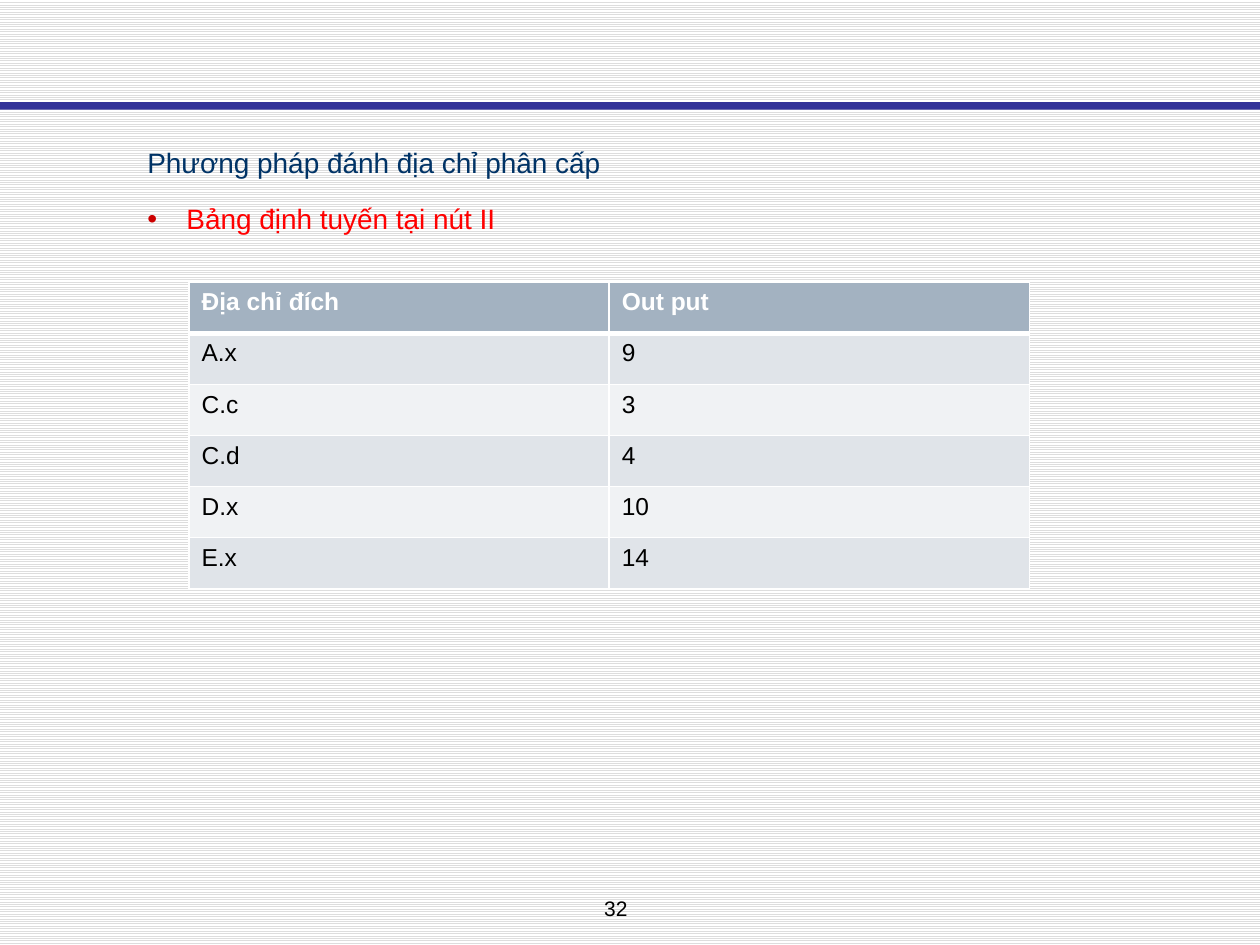
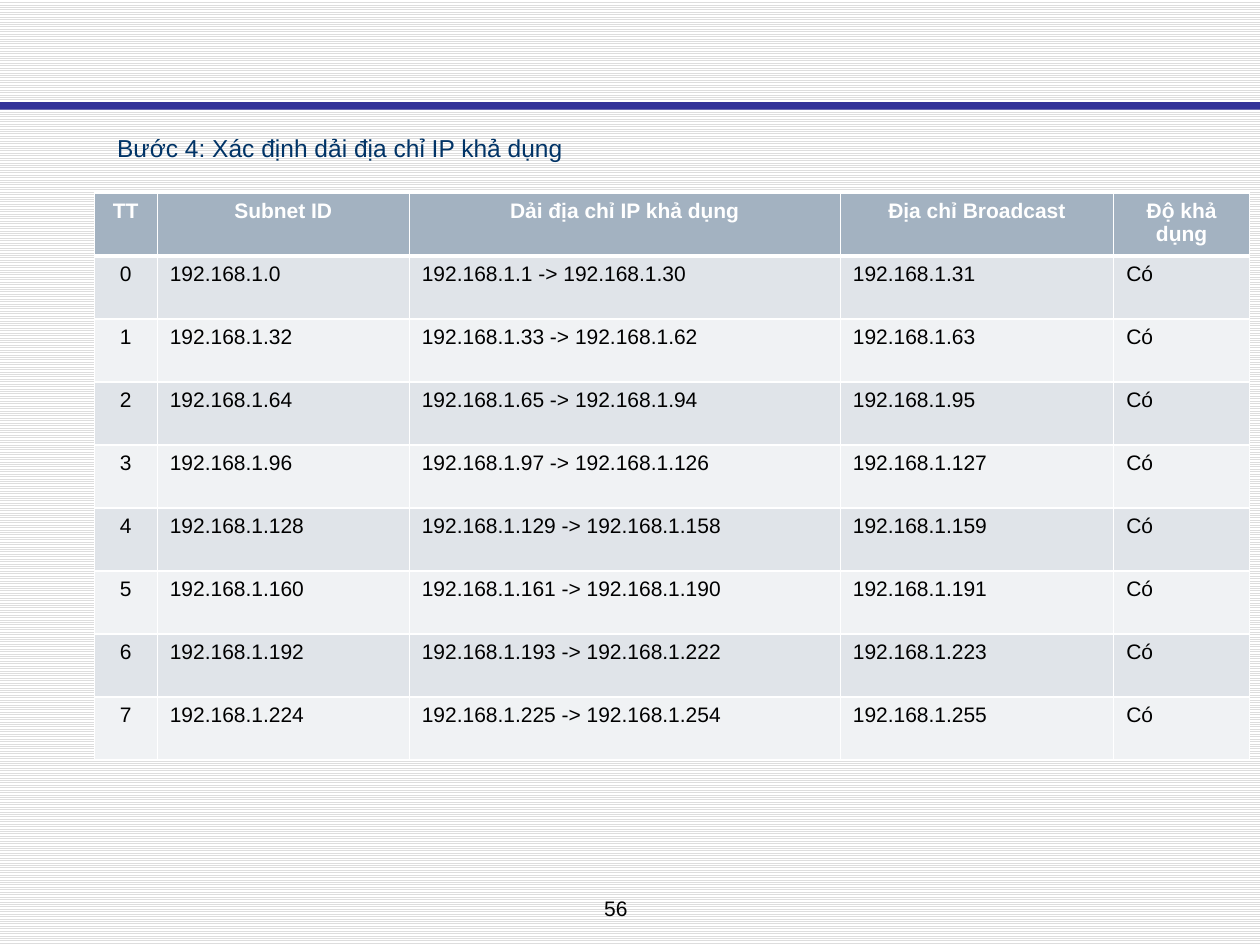
from lxml.etree import SubElement
from pptx import Presentation
from pptx.dml.color import RGBColor
from pptx.enum.dml import MSO_PATTERN
from pptx.enum.shapes import MSO_SHAPE
from pptx.enum.text import PP_ALIGN
from pptx.oxml.ns import qn
from pptx.util import Cm, Pt

COLORS = {
    "white": "FFFFFF", "stripe": "DDDDDD", "band": "333399",
    "heading": "003366", "accent": "FF0000", "bullet": "CC0000", "text": "000000",
    "header": "A3B2C1", "odd row": "E0E4E9", "even row": "F0F2F4",
}
FONT = "Arial"

# Subnets of 32 addresses each, with first and last usable host
SUBNET_SIZE = 32
NET = "192.168.1."
subnet_rows = [["TT", "Subnet ID", "Dải địa chỉ IP khả dụng", "Địa chỉ Broadcast", "Độ khả dụng"]]
for number in range(8):
    start = number * SUBNET_SIZE
    last = start + SUBNET_SIZE - 1
    subnet_rows.append([str(number), f"{NET}{start}", f"{NET}{start + 1} -> {NET}{last - 1}",
                        f"{NET}{last}", "Có"])

# Boxes are left, top, width, height in cm
PAGES = [
    {
        "number": "32", "size": 16, "body": (2.72, 2.57, 21.62, 3.15),
        "heading": "Phương pháp đánh địa chỉ phân cấp",
        "bullet": "Bảng định tuyến tại nút II",
        "table at": (3.81, 5.69), "columns": [8.47, 8.47], "row height": 1.03,
        "table size": 14, "centred header": False, "centred columns": [],
        "rows": [["Địa chỉ đích", "Out put"], ["A.x", "9"], ["C.c", "3"],
                 ["C.d", "4"], ["D.x", "10"], ["E.x", "14"]],
    },
    {
        "number": "56", "size": 14, "body": (2.11, 2.34, 22.48, 16.31),
        "heading": "Bước 4: Xác định dải địa chỉ IP khả dụng",
        "bullet": None,
        "table at": (1.9, 3.89), "columns": [1.27, 5.08, 8.69, 5.51, 2.74], "row height": 1.27,
        "table size": 12, "centred header": True, "centred columns": [0],
        "rows": subnet_rows,
    },
]


def add_span(para, text, size, color, bold=False):
    span = para.add_run()
    span.text = text
    span.font.name = FONT
    span.font.size = Pt(size)
    span.font.bold = bold
    span.font.color.rgb = RGBColor.from_string(COLORS[color])


def add_border(cell, side, width):
    line = SubElement(cell._tc.get_or_add_tcPr(), qn(f"a:ln{side}"), w=str(Pt(width)))
    fill = SubElement(line, qn("a:solidFill"))
    SubElement(fill, qn("a:srgbClr"), val=COLORS["white"])


deck = Presentation()
deck.slide_width, deck.slide_height = Cm(25.4), Cm(19.05)

# Striped background shared through the master
backdrop = deck.slide_master.background.fill
backdrop.patterned()
backdrop.pattern = MSO_PATTERN.LIGHT_HORIZONTAL
backdrop.fore_color.rgb = RGBColor.from_string(COLORS["stripe"])
backdrop.back_color.rgb = RGBColor.from_string(COLORS["white"])

for content in PAGES:
    page = deck.slides.add_slide(deck.slide_layouts[6])

    # Band across the top
    band = page.shapes.add_shape(MSO_SHAPE.RECTANGLE, 0, Cm(2.06), deck.slide_width, Cm(0.15))
    band.shadow.inherit = False
    band.fill.solid()
    band.fill.fore_color.rgb = RGBColor.from_string(COLORS["band"])
    band.line.fill.background()

    # Page number
    box = page.shapes.add_textbox(Cm(10.36), Cm(17.93), Cm(4.11), Cm(0.76))
    box.text_frame.word_wrap = True
    para = box.text_frame.paragraphs[0]
    para.alignment = PP_ALIGN.CENTER
    add_span(para, content["number"], 12, "text")

    # Heading and bullet
    box = page.shapes.add_textbox(*[Cm(length) for length in content["body"]])
    box.text_frame.word_wrap = True
    para = box.text_frame.paragraphs[0]
    para.line_spacing = 1.35
    add_span(para, content["heading"], content["size"], "heading")
    if content["bullet"]:
        para = box.text_frame.add_paragraph()
        para.line_spacing = 1.35
        para.space_before = Pt(6.5)
        properties = para._p.get_or_add_pPr()
        properties.set("marL", str(Cm(0.79)))
        properties.set("indent", str(-Cm(0.79)))
        bullet_color = SubElement(properties, qn("a:buClr"))
        SubElement(bullet_color, qn("a:srgbClr"), val=COLORS["bullet"])
        SubElement(properties, qn("a:buFont"), typeface=FONT)
        SubElement(properties, qn("a:buChar"), char="•")
        add_span(para, content["bullet"], content["size"], "accent")

    # Table
    rows, columns = content["rows"], content["columns"]
    left, top = content["table at"]
    table = page.shapes.add_table(len(rows), len(columns), Cm(left), Cm(top), Cm(sum(columns)),
                                  Cm(content["row height"] * len(rows))).table
    for column, width in zip(table.columns, columns):
        column.width = Cm(width)
    for row_index, row in enumerate(rows):
        table.rows[row_index].height = Cm(content["row height"])
        is_header = row_index == 0
        fill_name = "header" if is_header else "odd row" if row_index % 2 else "even row"
        for column_index, text in enumerate(row):
            cell = table.cell(row_index, column_index)
            # The rule under the header is thicker than the rest
            add_border(cell, "L", 1)
            add_border(cell, "R", 1)
            add_border(cell, "T", 3 if row_index == 1 else 1)
            add_border(cell, "B", 3 if is_header else 1)
            cell.fill.solid()
            cell.fill.fore_color.rgb = RGBColor.from_string(COLORS[fill_name])
            para = cell.text_frame.paragraphs[0]
            if column_index in content["centred columns"] or is_header and content["centred header"]:
                para.alignment = PP_ALIGN.CENTER
            add_span(para, text, content["table size"], "white" if is_header else "text", is_header)

deck.save("out.pptx")
